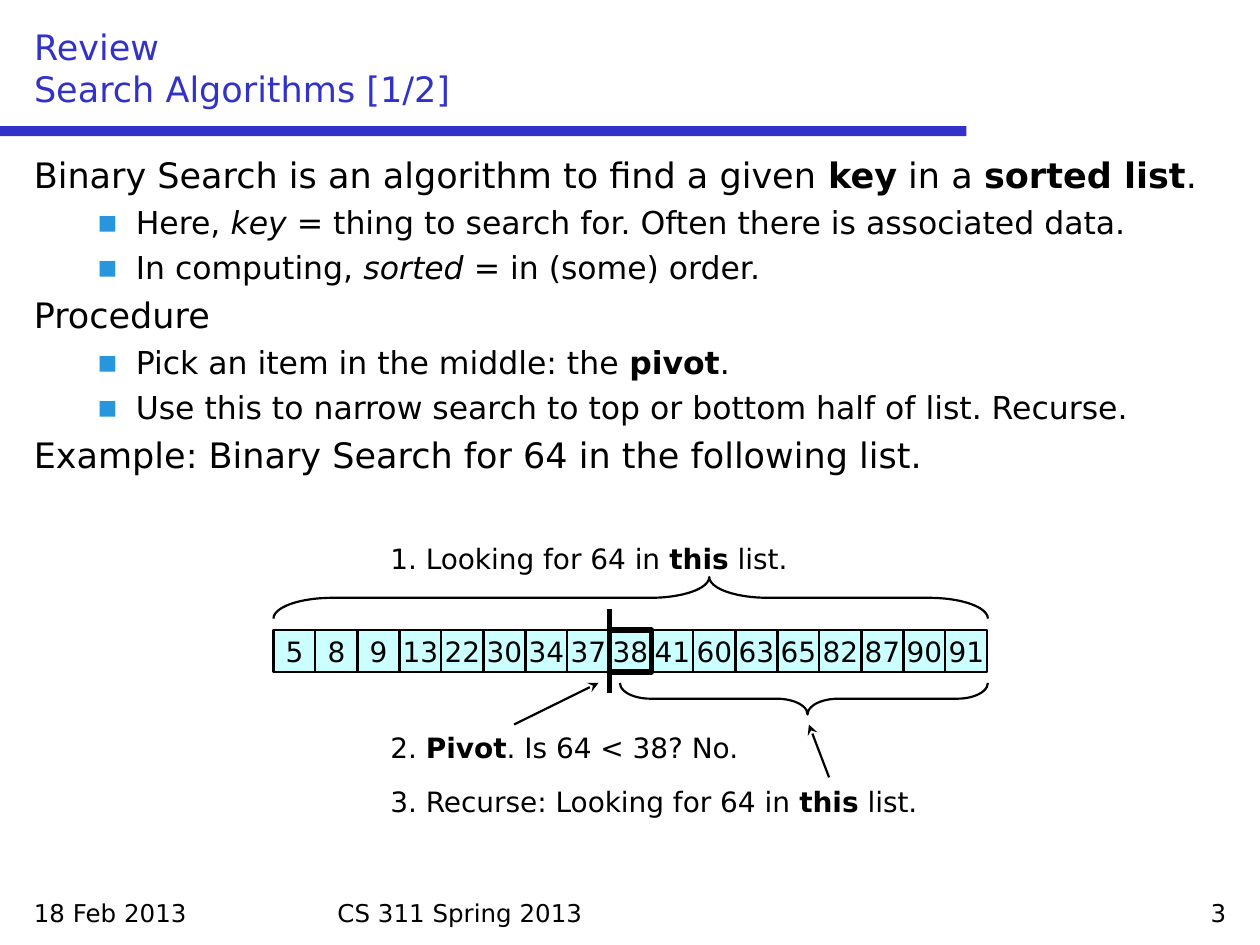
import pptx
import pptx.util
import pptx.dml.color
import pptx.enum.shapes
import pptx.enum.text
import pptx.oxml
import pptx.oxml.ns
from pptx.util import Inches

COLORS = {"accent": "3232C8", "bullet": "2896DC", "cell": "CCFFFF", "ink": "000000"}
FONT = "DejaVu Sans"
SHAPES = pptx.enum.shapes.MSO_SHAPE
ALIGN = pptx.enum.text.PP_ALIGN
ANCHOR = pptx.enum.text.MSO_ANCHOR

LIST_LEFT, LIST_TOP, CELL = 2.17, 5, 1 / 3
NUMBERS = [5, 8, 9, 13, 22, 30, 34, 37, 38, 41, 60, 63, 65, 82, 87, 90, 91]
PIVOT = 38

# Level, emphasis, and text with its emphasised words between asterisks
BODY = [
    (0, "bold", "Binary Search is an algorithm to find a given *key* in a *sorted list*."),
    (1, "italic", "Here, *key* = thing to search for. Often there is associated data."),
    (1, "italic", "In computing, *sorted* = in (some) order."),
    (0, "bold", "Procedure"),
    (1, "bold", "Pick an item in the middle: the *pivot*."),
    (1, "bold", "Use this to narrow search to top or bottom half of list. Recurse."),
    (0, "bold", "Example: Binary Search for 64 in the following list."),
]
CAPTIONS = [
    (4.25, 3.5, "1. Looking for 64 in *this* list."),
    (5.75, 3.08, "2. *Pivot*. Is 64 < 38? No."),
    (6.18, 5.33, "3. Recurse: Looking for 64 in *this* list."),
]
FOOTERS = [
    (0.17, 2.33, "18 Feb 2013", ALIGN.LEFT),
    (2.58, 4.83, "CS 311 Spring 2013", ALIGN.LEFT),
    (7.5, 2.33, "3", ALIGN.RIGHT),
]


def rgb(name):
    return pptx.dml.color.RGBColor.from_string(COLORS[name])


class SlideBuilder:
    """Holds the slide and draws each kind of element in its style."""

    def __init__(self, slide):
        self.slide = slide
        self.shapes = slide.shapes

    def style_font(self, font, size, color="ink"):
        font.name = FONT
        font.size = pptx.util.Pt(size)
        font.color.rgb = rgb(color)

    def add_runs(self, paragraph, text, size, emphasis="bold"):
        """Fill in text, emphasising the parts between asterisks."""
        for index, part in enumerate(text.split("*")):
            run = paragraph.add_run()
            run.text = part
            self.style_font(run.font, size)
            if index % 2:
                run.font.bold = True if emphasis == "bold" else None
                run.font.italic = True if emphasis == "italic" else None

    def title(self, text):
        title = self.shapes.title
        title.left, title.top = Inches(0.17), Inches(0.17)
        title.width, title.height = Inches(9.67), Inches(0.75)
        frame = title.text_frame
        frame.text = text
        frame.vertical_anchor = ANCHOR.BOTTOM
        frame.auto_size = pptx.enum.text.MSO_AUTO_SIZE.NONE
        paragraph = frame.paragraphs[0]
        paragraph.alignment = ALIGN.LEFT
        paragraph.line_spacing = 1.0
        for run in paragraph.runs:
            self.style_font(run.font, 20, "accent")

    def text_frame(self, left, top, width, height):
        box = self.shapes.add_textbox(Inches(left), Inches(top), Inches(width), Inches(height))
        box.text_frame.word_wrap = True
        return box.text_frame

    def label(self, left, top, width, height, text, size, alignment=ALIGN.LEFT):
        paragraph = self.text_frame(left, top, width, height).paragraphs[0]
        paragraph.alignment = alignment
        self.add_runs(paragraph, text, size)

    def body(self, entries):
        frame = self.text_frame(0.17, 1.17, 9.67, 5.83)
        for index, (level, emphasis, text) in enumerate(entries):
            paragraph = frame.add_paragraph() if index else frame.paragraphs[0]
            size = 18 if level else 20
            paragraph.level = level
            if index:
                paragraph.space_before = pptx.util.Pt(round(size * 0.23, 1))
            self.indent(paragraph, *((0.81, -0.31) if level else (0.38, -0.38)))
            if level:
                self.bullet(paragraph)
            self.add_runs(paragraph, text, size, emphasis)

    def indent(self, paragraph, margin, first_line):
        properties = paragraph._p.get_or_add_pPr()
        properties.set("marL", str(Inches(margin)))
        properties.set("indent", str(Inches(first_line)))

    def bullet(self, paragraph):
        namespace = pptx.oxml.ns.nsdecls("a")
        for xml in (
            f'<a:buClr {namespace}><a:srgbClr val="{COLORS["bullet"]}"/></a:buClr>',
            f'<a:buFont {namespace} typeface="{FONT}"/>',
            f'<a:buChar {namespace} char="▪"/>',
        ):
            paragraph._p.get_or_add_pPr().append(pptx.oxml.parse_xml(xml))

    def shape(self, kind, left, top, width, height, fill=None, line_width=None):
        shape = self.shapes.add_shape(
            kind, Inches(left), Inches(top), Inches(width), Inches(height))
        shape.shadow.inherit = False
        if fill:
            shape.fill.solid()
            shape.fill.fore_color.rgb = rgb(fill)
        else:
            shape.fill.background()
        if line_width:
            shape.line.color.rgb = rgb("ink")
            shape.line.width = pptx.util.Pt(line_width)
        else:
            shape.line.fill.background()
        return shape

    def cell(self, index, number, line_width):
        shape = self.shape(SHAPES.RECTANGLE, LIST_LEFT + index * CELL, LIST_TOP,
                           CELL, CELL, "cell", line_width)
        frame = shape.text_frame
        frame.word_wrap = False
        frame.vertical_anchor = ANCHOR.MIDDLE
        frame.paragraphs[0].alignment = ALIGN.CENTER
        self.add_runs(frame.paragraphs[0], str(number), 16)

    def brace(self, left, top, width, height, rotation, curve, point):
        """Draw a brace lying across the given area, its point up (90) or down (270)."""
        shape = self.shape(SHAPES.LEFT_BRACE, left + (width - height) / 2,
                           top + (height - width) / 2, height, width, line_width=1.25)
        shape.rotation = rotation
        shape.adjustments[0] = curve
        shape.adjustments[1] = point

    def line(self, start, end, width, arrow=False):
        connector = self.shapes.add_connector(
            pptx.enum.shapes.MSO_CONNECTOR.STRAIGHT,
            *(Inches(value) for value in (*start, *end)))
        connector.line.color.rgb = rgb("ink")
        connector.line.width = pptx.util.Pt(width)
        namespace = pptx.oxml.ns.nsdecls("a")
        if arrow:
            connector.line._get_or_add_ln().append(
                pptx.oxml.parse_xml(f'<a:tailEnd {namespace} type="stealth"/>'))
        connector._element.spPr.append(pptx.oxml.parse_xml(f"<a:effectLst {namespace}/>"))


def main():
    presentation = pptx.Presentation()
    presentation.slide_width, presentation.slide_height = Inches(10), Inches(7.5)
    builder = SlideBuilder(presentation.slides.add_slide(presentation.slide_layouts[5]))

    builder.shape(SHAPES.RECTANGLE, 0, 1, 7.67, 0.08, "accent")
    builder.title("Review\vSearch Algorithms [1/2]")
    builder.body(BODY)
    for left, width, text, alignment in FOOTERS:
        builder.label(left, 7.08, width, 0.33, text, 14, alignment)

    for index, number in enumerate(NUMBERS):
        if number != PIVOT:
            builder.cell(index, number, 1.25)
    pivot_index = NUMBERS.index(PIVOT)
    builder.cell(pivot_index, PIVOT, 3)
    pivot_left = LIST_LEFT + pivot_index * CELL
    builder.line((pivot_left, 4.83), (pivot_left, 5.5), 3)

    for top, width, text in CAPTIONS:
        builder.label(3, top, width, 0.37, text, 16)
    builder.brace(LIST_LEFT, 4.58, 5.67, 0.33, 90, 1.42, 0.39)
    builder.brace(4.92, 5.42, 2.92, 0.25, 270, 0.97, 0.51)
    builder.line((4.08, 5.75), (4.75, 5.42), 1.25, arrow=True)
    builder.line((6.58, 6.17), (6.42, 5.75), 1.25, arrow=True)

    presentation.save("out.pptx")


if __name__ == "__main__":
    main()
